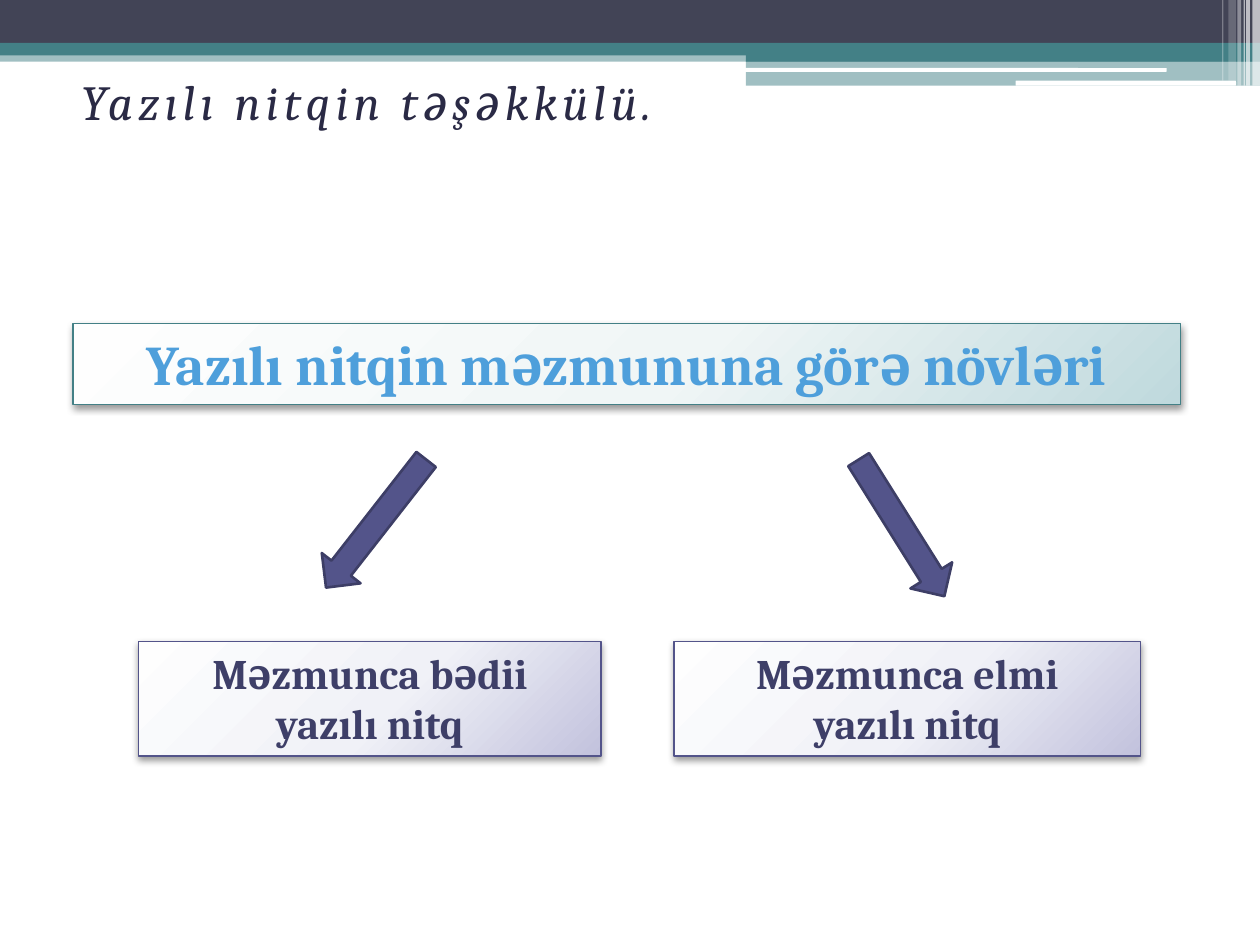
"""Build the slide on the kinds of written speech by content."""
from dataclasses import dataclass

from lxml import etree
from pptx import Presentation
from pptx.dml.color import RGBColor
from pptx.enum.shapes import MSO_SHAPE
from pptx.enum.text import MSO_ANCHOR, MSO_AUTO_SIZE, PP_ALIGN
from pptx.oxml import parse_xml
from pptx.oxml.ns import nsdecls, qn
from pptx.util import Inches, Pt

RECTANGLE = MSO_SHAPE.RECTANGLE
ROUNDED = MSO_SHAPE.ROUNDED_RECTANGLE
DOWN_ARROW = MSO_SHAPE.DOWN_ARROW
CENTER = PP_ALIGN.CENTER
TOP = MSO_ANCHOR.TOP
FIT_SHAPE = MSO_AUTO_SIZE.SHAPE_TO_FIT_TEXT
LINEAR = '<a:lin ang="5400000" scaled="0"/>'
CIRCLE = ('<a:path path="circle"><a:fillToRect l="-40000" t="-90000" '
          'r="140000" b="190000"/></a:path>')


@dataclass(frozen=True)
class Theme:
    font: str = "Cambria"
    title_size: int = 28
    heading_size: int = 32
    branch_size: int = 24
    white: str = "FFFFFF"
    shadow: str = "000000"
    slate: str = "424456"
    teal: str = "438086"
    violet: str = "53548A"
    arrow_line: str = "3D3E66"
    title: str = "2A2A45"
    branch_text: str = "3E3F68"
    heading_text: tuple = ((0, "184D70"), (78, "4E9FDB"), (100, "EFF5FB"))
    teal_glow: tuple = ((0, "FEFEFE"), (55, "F0F6F6"), (100, "BFD9DD"))
    violet_glow: tuple = ((0, "FEFEFE"), (55, "F0F1F7"), (100, "C2C2DD"))


class SlideBuilder:
    """Hold the theme and the slide, and add each kind of element."""

    def __init__(self, slide, theme):
        self.slide = slide
        self.theme = theme

    def paint(self, fill, color):
        fill.solid()
        fill.fore_color.rgb = RGBColor.from_string(color)

    def gradient(self, properties, stops, direction):
        marks = "".join(
            f'<a:gs pos="{position * 1000}"><a:srgbClr val="{color}"/></a:gs>'
            for position, color in stops)
        solid = properties.find(qn("a:solidFill"))
        properties.replace(solid, parse_xml(
            f'<a:gradFill {nsdecls("a")} rotWithShape="1">'
            f'<a:gsLst>{marks}</a:gsLst>{direction}</a:gradFill>'))

    def shape(self, kind, box, color, line=None, line_width=0.75, alpha=100):
        shape = self.slide.shapes.add_shape(kind, *map(Inches, box))
        shape.shadow.inherit = False
        self.paint(shape.fill, color)
        if alpha < 100:
            value = shape._element.spPr.find(qn("a:solidFill"))[0]
            etree.SubElement(value, qn("a:alpha"), val=str(alpha * 1000))
        if line:
            self.paint(shape.line.fill, line)
            shape.line.width = Pt(line_width)
        else:
            shape.line.fill.background()
        return shape

    def add_text(self, shape, lines, size, color, wrap, bold=False, italic=False):
        frame = shape.text_frame
        frame.word_wrap = wrap
        frame.auto_size = FIT_SHAPE
        frame.vertical_anchor = TOP
        runs = []
        for index, line in enumerate(lines):
            paragraph = frame.add_paragraph() if index else frame.paragraphs[0]
            paragraph.alignment = CENTER
            run = paragraph.add_run()
            run.text = line
            run.font.name = self.theme.font
            run.font.size = Pt(size)
            run.font.bold = bold
            run.font.italic = italic
            self.paint(run.font.fill, color)
            runs.append(run)
        return runs

    def title(self, box, text):
        theme = self.theme
        shape = self.slide.shapes.add_textbox(*map(Inches, box))
        run, = self.add_text(shape, [text], theme.title_size, theme.title, False, italic=True)
        properties = run.font._element
        properties.set("spc", "300")
        properties.insert(0, parse_xml(
            f'<a:ln {nsdecls("a")} w="{int(Pt(1.45))}"><a:solidFill>'
            f'<a:srgbClr val="{theme.title}"/></a:solidFill></a:ln>'))

    def panel(self, box, stops, line, lines, size, color, wrap=True):
        shape = self.shape(RECTANGLE, box, self.theme.white, line)
        properties = shape._element.spPr
        self.gradient(properties, stops, CIRCLE)
        properties.find(qn("a:effectLst")).append(parse_xml(
            f'<a:outerShdw {nsdecls("a")} blurRad="{int(Pt(4.1))}" '
            f'dist="{int(Pt(2))}" dir="5400000" rotWithShape="0">'
            f'<a:srgbClr val="{self.theme.shadow}">'
            '<a:alpha val="40000"/></a:srgbClr></a:outerShdw>'))
        return self.add_text(shape, lines, size, color, wrap, bold=True)

    def heading(self, box, text):
        theme = self.theme
        run, = self.panel(box, theme.teal_glow, theme.teal, [text],
                          theme.heading_size, theme.teal, wrap=False)
        self.gradient(run.font._element, theme.heading_text, LINEAR)

    def branch(self, box, lines):
        theme = self.theme
        self.panel(box, theme.violet_glow, theme.violet, lines,
                   theme.branch_size, theme.branch_text)

    def arrow(self, box, rotation):
        theme = self.theme
        arrow = self.shape(DOWN_ARROW, box, theme.violet, theme.arrow_line, 1.5)
        arrow.rotation = rotation

    def banner(self):
        theme = self.theme
        for box, color, alpha in (
                ((0, 0.4, 10, 0.09), theme.teal, 50),
                ((0, 0, 10, 0.34), theme.slate, 100),
                ((0, 0.34, 10, 0.1), theme.teal, 100),
                ((5.92, 0.39, 4.08, 0.1), theme.teal, 100),
                ((5.92, 0.48, 4.08, 0.2), theme.teal, 50)):
            self.shape(RECTANGLE, box, color, alpha=alpha)
        for box in ((5.91, 0.54, 3.35, 0.03), (8.06, 0.64, 1.75, 0.04)):
            self.shape(ROUNDED, box, theme.white)
        for left, width, height, alpha in (
                (9.94, 0.06, 0.68, 65), (9.89, 0.03, 0.68, 65),
                (9.87, 0.01, 0.68, 60), (9.82, 0.03, 0.68, 40),
                (9.75, 0.06, 0.64, 20), (9.7, 0.01, 0.64, 30)):
            self.shape(RECTANGLE, (left, 0, width, height), theme.white, alpha=alpha)


def main():
    presentation = Presentation()
    presentation.slide_width = Inches(10)
    presentation.slide_height = Inches(7.5)
    slide = presentation.slides.add_slide(presentation.slide_layouts[6])
    builder = SlideBuilder(slide, Theme())
    builder.banner()
    builder.heading((0.58, 2.57, 8.79, 0.64), "Yazılı nitqin məzmununa görə növləri")
    builder.title((0.32, 0.52, 5.18, 0.57), "Yazılı nitqin təşəkkülü.")
    builder.branch((1.1, 5.09, 3.67, 0.91), ["Məzmunca bədii", "yazılı nitq"])
    builder.branch((5.35, 5.09, 3.7, 0.91), ["Məzmunca elmi", "yazılı nitq"])
    builder.arrow((2.79, 3.51, 0.39, 1.29), 38)
    builder.arrow((6.96, 3.55, 0.39, 1.28), 327.9)
    presentation.save("out.pptx")


if __name__ == "__main__":
    main()
